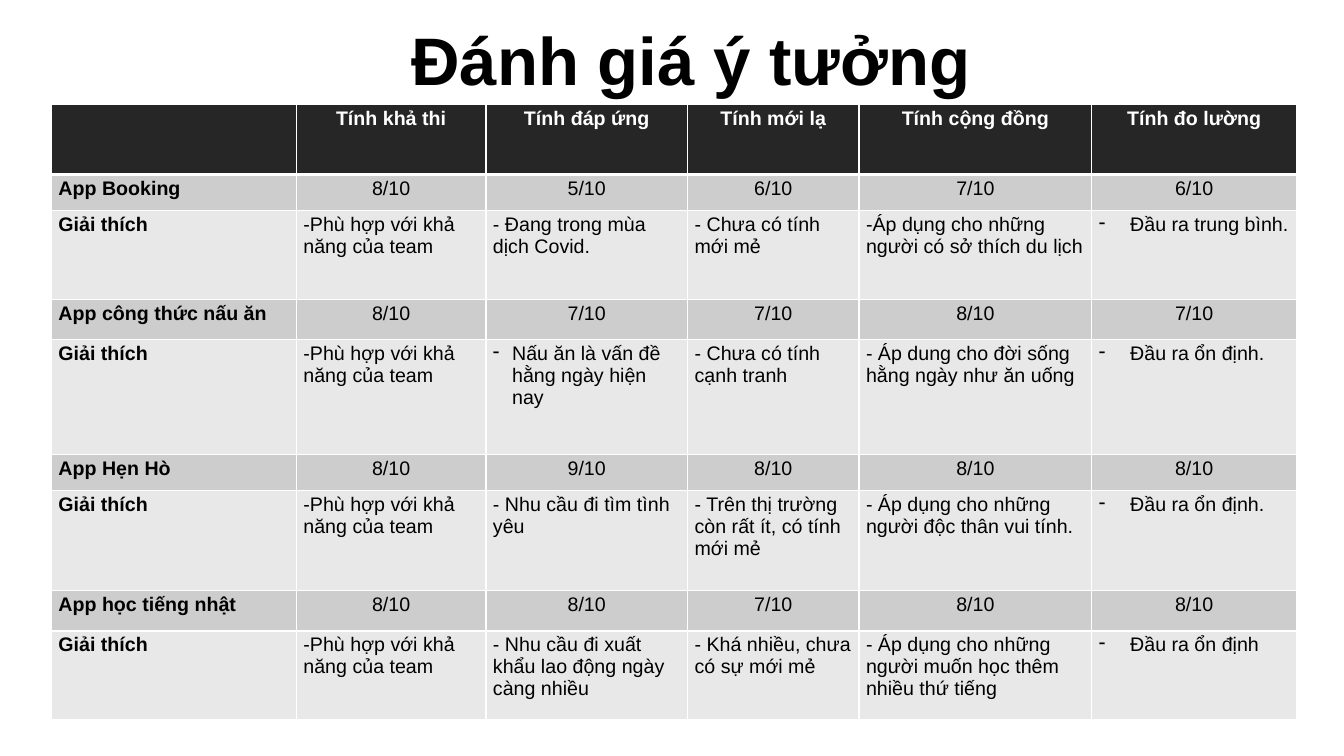
from lxml import etree
from pptx import Presentation
from pptx.dml.color import RGBColor
from pptx.enum.text import MSO_ANCHOR, PP_ALIGN
from pptx.oxml.ns import qn
from pptx.util import Inches, Pt

LEFT, CENTER = PP_ALIGN.LEFT, PP_ALIGN.CENTER
TOP, MIDDLE = MSO_ANCHOR.TOP, MSO_ANCHOR.MIDDLE
BLACK = RGBColor(0x00, 0x00, 0x00)
WHITE = RGBColor(0xFF, 0xFF, 0xFF)
HEADER = RGBColor(0x26, 0x26, 0x26)
SCORE = RGBColor(0xCD, 0xCD, 0xCD)
REASON = RGBColor(0xE8, 0xE8, 0xE8)
FONT = "Arial"

TITLE_BOX = (3.95, 0.13, 5.81, 0.91)
TABLE_BOX = (0.51, 1.04, 12.36, 6.12)
COLS = [2.43, 1.88, 2, 1.7, 2.31, 2.03]
ROWS = [0.69, 0.36, 0.88, 0.4, 1.14, 0.36, 0.99, 0.4, 0.88]
MARGINS = {"margin_left": 0.07, "margin_right": 0.07, "margin_top": 0.03, "margin_bottom": 0.03}

CRITERIA = ["", "Tính khả thi", "Tính đáp ứng", "Tính mới lạ", "Tính cộng đồng", "Tính đo lường"]
FEASIBLE = "-Phù hợp với khả năng của team"
IDEAS = [
    ("App Booking", [8, 5, 6, 7, 6],
     ["- Đang trong mùa dịch Covid.", "- Chưa có tính mới mẻ",
      "-Áp dụng cho những người có sở thích du lịch", (0.31, "Đầu ra trung bình.")]),
    ("App công thức nấu ăn", [8, 7, 7, 8, 7],
     [(0.19, "Nấu ăn là vấn đề hằng ngày hiện nay"), "- Chưa có tính cạnh tranh",
      "- Áp dung cho đời sống hằng ngày như ăn uống", (0.31, "Đầu ra ổn định.")]),
    ("App Hẹn Hò", [8, 9, 8, 8, 8],
     ["- Nhu cầu đi tìm tình yêu", "- Trên thị trường còn rất ít, có tính mới mẻ",
      "- Áp dụng cho những người độc thân vui tính.", (0.31, "Đầu ra ổn định.")]),
    ("App học tiếng nhật", [8, 8, 7, 8, 8],
     ["- Nhu cầu đi xuất khẩu lao động ngày càng nhiều", "- Khá nhiều, chưa có sự mới mẻ",
      "- Áp dụng cho những người muốn học thêm nhiều thứ tiếng", (0.31, "Đầu ra ổn định")]),
]


def write(p, text, size, color, bold, align):
    """Add one formatted run to a paragraph."""
    p.alignment = align
    r = p.add_run()
    r.text = text
    for name, value in {"name": FONT, "size": Pt(size), "bold": bold}.items():
        setattr(r.font, name, value)
    r.font.color.rgb = color


def add_dash(p, indent):
    """Give a paragraph a hanging dash bullet."""
    pPr = p._p.get_or_add_pPr()
    pPr.set("marL", str(Inches(indent)))
    pPr.set("indent", str(-Inches(indent)))
    etree.SubElement(pPr, qn("a:buFontTx"))
    etree.SubElement(pPr, qn("a:buChar")).set("char", "-")


def add_borders(cell, top, bottom):
    """Draw white borders, with top and bottom widths in points."""
    tcPr = cell._tc.get_or_add_tcPr()
    for side, width in {"lnL": 1, "lnR": 1, "lnT": top, "lnB": bottom}.items():
        ln = etree.SubElement(tcPr, qn(f"a:{side}"), w=str(Pt(width)))
        fill = etree.SubElement(ln, qn("a:solidFill"))
        etree.SubElement(fill, qn("a:srgbClr"), val=str(WHITE))


def fill_cell(cell, row, col, content):
    """Format one table cell by its row and column."""
    header, scores = row == 0, row % 2 == 1
    add_borders(cell, 3 if row == 1 else 1, 3 if header else 1)
    cell.fill.solid()
    cell.fill.fore_color.rgb = HEADER if header else SCORE if scores else REASON
    for name, value in MARGINS.items():
        setattr(cell, name, Inches(value))
    cell.vertical_anchor = TOP
    p = cell.text_frame.paragraphs[0]
    indent, text = content if isinstance(content, tuple) else (0, content)
    if indent:
        add_dash(p, indent)
    if text:
        align = CENTER if header or (scores and col > 0) else LEFT
        write(p, text, 14, WHITE if header else BLACK, header or col == 0, align)


def add_title(slide, box, text):
    """Place the slide title in its box."""
    sp = slide.shapes.title
    sp.left, sp.top, sp.width, sp.height = map(Inches, box)
    tf = sp.text_frame
    tf.word_wrap = False
    tf.vertical_anchor = MIDDLE
    write(tf.paragraphs[0], text, 48, BLACK, True, CENTER)


def add_ratings(slide, box):
    """Place the table of scores and reasons in its box."""
    lines = [CRITERIA]
    for name, scores, reasons in IDEAS:
        lines.append([name] + [f"{score}/10" for score in scores])
        lines.append(["Giải thích", FEASIBLE] + reasons)
    table = slide.shapes.add_table(len(ROWS), len(COLS), *map(Inches, box)).table
    for column, width in zip(table.columns, COLS):
        column.width = Inches(width)
    for row, height in zip(table.rows, ROWS):
        row.height = Inches(height)
    for i, line in enumerate(lines):
        for j, content in enumerate(line):
            fill_cell(table.cell(i, j), i, j, content)


def main():
    """Build the presentation."""
    prs = Presentation()
    prs.slide_width, prs.slide_height = Inches(13.33), Inches(7.5)
    slide = prs.slides.add_slide(prs.slide_layouts[5])
    add_title(slide, TITLE_BOX, "Đánh giá ý tưởng")
    add_ratings(slide, TABLE_BOX)
    prs.save("out.pptx")


if __name__ == "__main__":
    main()
